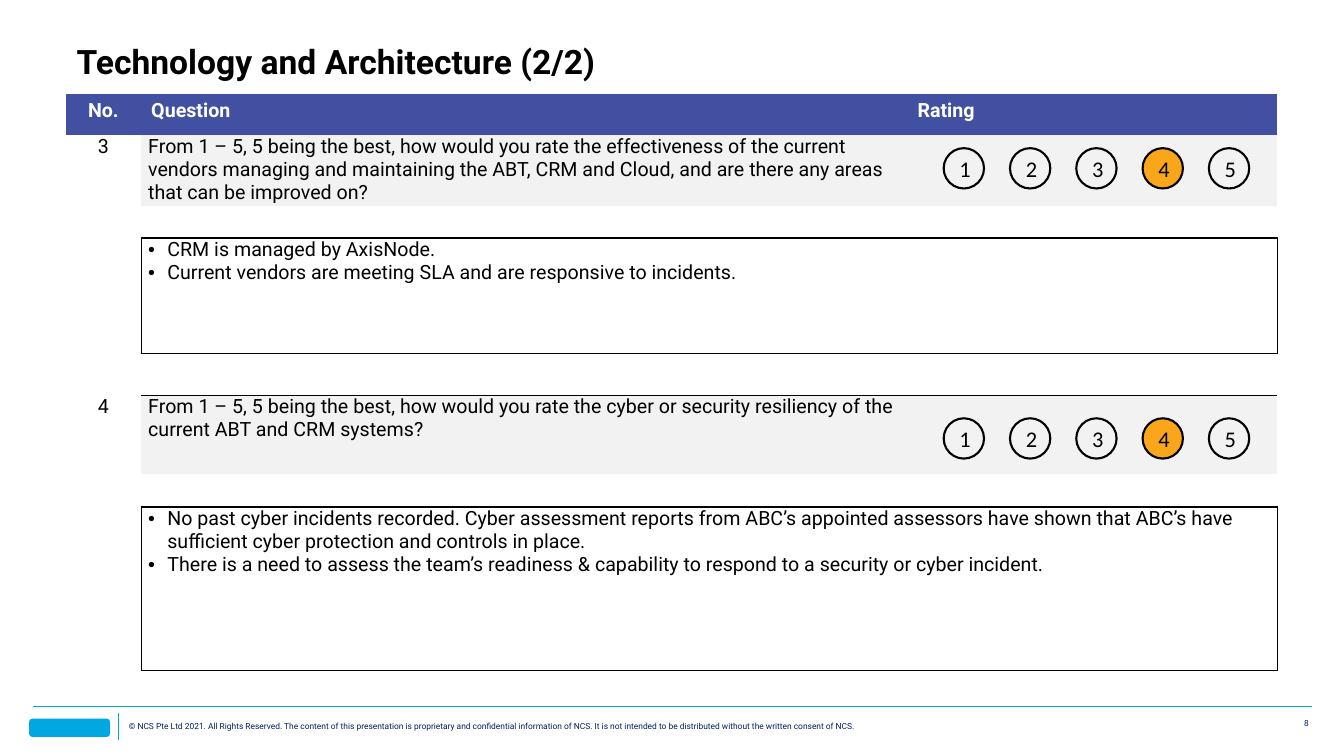
from lxml import etree
from pptx import Presentation
from pptx.dml.color import RGBColor
from pptx.enum.shapes import MSO_CONNECTOR, MSO_SHAPE
from pptx.enum.text import MSO_ANCHOR, PP_ALIGN
from pptx.oxml.ns import qn
from pptx.util import Inches, Pt

STRAIGHT = MSO_CONNECTOR.STRAIGHT
OVAL, ROUNDED = MSO_SHAPE.OVAL, MSO_SHAPE.ROUNDED_RECTANGLE
TOP, MIDDLE = MSO_ANCHOR.TOP, MSO_ANCHOR.MIDDLE
LEFT, CENTER, RIGHT = PP_ALIGN.LEFT, PP_ALIGN.CENTER, PP_ALIGN.RIGHT

BLACK = RGBColor(0x00, 0x00, 0x00)
WHITE = RGBColor(0xFF, 0xFF, 0xFF)
INDIGO = RGBColor(0x41, 0x50, 0xA1)
GREY = RGBColor(0xF2, 0xF2, 0xF2)
ORANGE = RGBColor(0xFA, 0xA6, 0x1A)
CYAN = RGBColor(0x00, 0xA7, 0xE1)
NAVY = RGBColor(0x00, 0x20, 0x5C)

PLAIN_STYLE = "{2D5ABB26-0587-4C30-8999-92F81FD0307C}"
COLS = [0.75, 7.6, 3.67]
ROWS = [0.41, 0.7, 0.32, 1.15, 0.41, 0.78, 0.33, 1.62]
HEADINGS = ["No.", "Question", "Rating"]
QUESTIONS = [
    {
        "row": 1, "no": "3", "rating": 4, "drop": 0.13,
        "text": "From 1 – 5, 5 being the best, how would you rate the effectiveness of the current "
                "vendors managing and maintaining the ABT, CRM and Cloud, and are there any areas "
                "that can be improved on?",
        "answers": [
            "CRM is managed by AxisNode.",
            "Current vendors are meeting SLA and are responsive to incidents.",
        ],
    },
    {
        "row": 5, "no": "4", "rating": 4, "drop": 0.23,
        "text": "From 1 – 5, 5 being the best, how would you rate the cyber or security resiliency "
                "of the current ABT and CRM systems?",
        "answers": [
            "No past cyber incidents recorded. Cyber assessment reports from ABC’s appointed "
            "assessors have shown that ABC’s have sufficient cyber protection and controls in place.",
            "There is a need to assess the team’s readiness & capability to respond to a security "
            "or cyber incident.",
        ],
    },
]
COPYRIGHT = ("© NCS Pte Ltd 2021. All Rights Reserved. The content of this presentation is "
             "proprietary and confidential information of NCS. It is not intended to be "
             "distributed without the written consent of NCS.")


def add_run(p, text, size, color=BLACK, bold=False, font="Roboto", align=LEFT):
    p.alignment = align
    r = p.add_run()
    r.text = text
    r.font.name, r.font.size, r.font.bold = font, Pt(size), bold
    r.font.color.rgb = color


def add_bullet(p):
    pPr = p._p.get_or_add_pPr()
    pPr.set("marL", str(Inches(0.19)))
    pPr.set("indent", str(-Inches(0.19)))
    etree.SubElement(pPr, qn("a:buFont")).set("typeface", "Arial")
    etree.SubElement(pPr, qn("a:buChar")).set("char", "•")


def add_borders(cell, sides):
    tcPr = cell._tc.get_or_add_tcPr()
    for i, side in enumerate(sides):
        ln = etree.Element(qn("a:ln" + side), w=str(Pt(1)))
        fill = etree.SubElement(ln, qn("a:solidFill"))
        etree.SubElement(fill, qn("a:srgbClr")).set("val", str(BLACK))
        tcPr.insert(i, ln)


def add_rule(s, x1, y1, x2, y2):
    line = s.shapes.add_connector(STRAIGHT, *map(Inches, (x1, y1, x2, y2)))
    line.line.color.rgb = CYAN
    line.line.width = Pt(0.75)
    etree.SubElement(line._element.spPr, qn("a:effectLst"))


def add_label(s, box, text, align):
    tf = s.shapes.add_textbox(*map(Inches, box)).text_frame
    tf.word_wrap = True
    tf.vertical_anchor = MIDDLE
    add_run(tf.paragraphs[0], text, 6, NAVY, align=align)


def add_title(s, box, text):
    title = s.shapes.title
    title.left, title.top, title.width, title.height = map(Inches, box)
    tf = title.text_frame
    tf.vertical_anchor = TOP
    tf.paragraphs[0].line_spacing = 0.9
    add_run(tf.paragraphs[0], text, 24, bold=True)


def add_footer(s, x, y, w):
    add_rule(s, x, y, x + w, y)
    add_rule(s, x + 0.85, y + 0.06, x + 0.85, y + 0.33)
    mark = s.shapes.add_shape(ROUNDED, *map(Inches, (x - 0.04, y + 0.12, 0.8, 0.18)))
    mark.shadow.inherit = False
    mark.fill.solid()
    mark.fill.fore_color.rgb = CYAN
    mark.line.fill.background()
    add_label(s, (x + 0.85, y - 0.02, 9.03, 0.43), COPYRIGHT, LEFT)
    add_label(s, (x + w - 1.92, y + 0.06, 1.99, 0.2), "8", RIGHT)


def add_rating(s, x, y, rating):
    for i in range(5):
        sp = s.shapes.add_shape(OVAL, *map(Inches, (x + i * 0.6575, y, 0.4, 0.4)))
        sp.shadow.inherit = False
        if i + 1 == rating:
            sp.fill.solid()
            sp.fill.fore_color.rgb = ORANGE
        else:
            sp.fill.background()
        sp.line.color.rgb = BLACK
        sp.line.width = Pt(1.5)
        sp.text_frame.vertical_anchor = MIDDLE
        add_run(sp.text_frame.paragraphs[0], str(i + 1), 16, font="Calibri", align=CENTER)


def fill_question(table, question):
    row = question["row"]
    box_row = row + 2
    add_run(table.cell(row, 0).text_frame.paragraphs[0], question["no"], 14, align=CENTER)
    add_run(table.cell(row, 1).text_frame.paragraphs[0], question["text"], 14)
    add_borders(table.cell(box_row, 0), "R")
    for col in (1, 2):
        add_borders(table.cell(row + 1, col), "B")
        add_borders(table.cell(box_row, col), "LRTB")
        if box_row + 1 < len(ROWS):
            add_borders(table.cell(box_row + 1, col), "T")
        cell = table.cell(row, col)
        cell.fill.solid()
        cell.fill.fore_color.rgb = GREY
    answer = table.cell(box_row, 1)
    answer.merge(table.cell(box_row, 2))
    tf = answer.text_frame
    for i, text in enumerate(question["answers"]):
        p = tf.add_paragraph() if i else tf.paragraphs[0]
        add_bullet(p)
        add_run(p, text, 14)


def add_questions(s, x, y):
    frame = s.shapes.add_table(len(ROWS), len(COLS), *map(Inches, (x, y, sum(COLS), sum(ROWS))))
    table = frame.table
    table.first_row = table.horz_banding = False
    table._tbl.tblPr.find(qn("a:tableStyleId")).text = PLAIN_STYLE
    for col, width in zip(table.columns, COLS):
        col.width = Inches(width)
    for i, height in enumerate(ROWS):
        table.rows[i].height = Inches(height)
        for cell in table.rows[i].cells:
            if i:
                cell.margin_left = cell.margin_right = Inches(0.07)
                cell.margin_top = cell.margin_bottom = 0
    for col, heading in enumerate(HEADINGS):
        cell = table.cell(0, col)
        cell.fill.solid()
        cell.fill.fore_color.rgb = INDIGO
        add_run(cell.text_frame.paragraphs[0], heading, 14, WHITE, True,
                align=LEFT if col else CENTER)
    for question in QUESTIONS:
        fill_question(table, question)
        row_top = y + sum(ROWS[:question["row"]])
        add_rating(s, x + sum(COLS[:2]) + 0.36, row_top + question["drop"], question["rating"])


def main():
    prs = Presentation()
    prs.slide_width, prs.slide_height = Inches(13.33), Inches(7.5)
    s = prs.slides.add_slide(prs.slide_layouts[5])
    add_footer(s, 0.33, 7.01, 12.68)
    add_title(s, (0.66, 0.4, 12.03, 0.88), "Technology and Architecture (2/2)")
    add_questions(s, 0.65, 0.93)
    prs.save("out.pptx")


if __name__ == "__main__":
    main()
